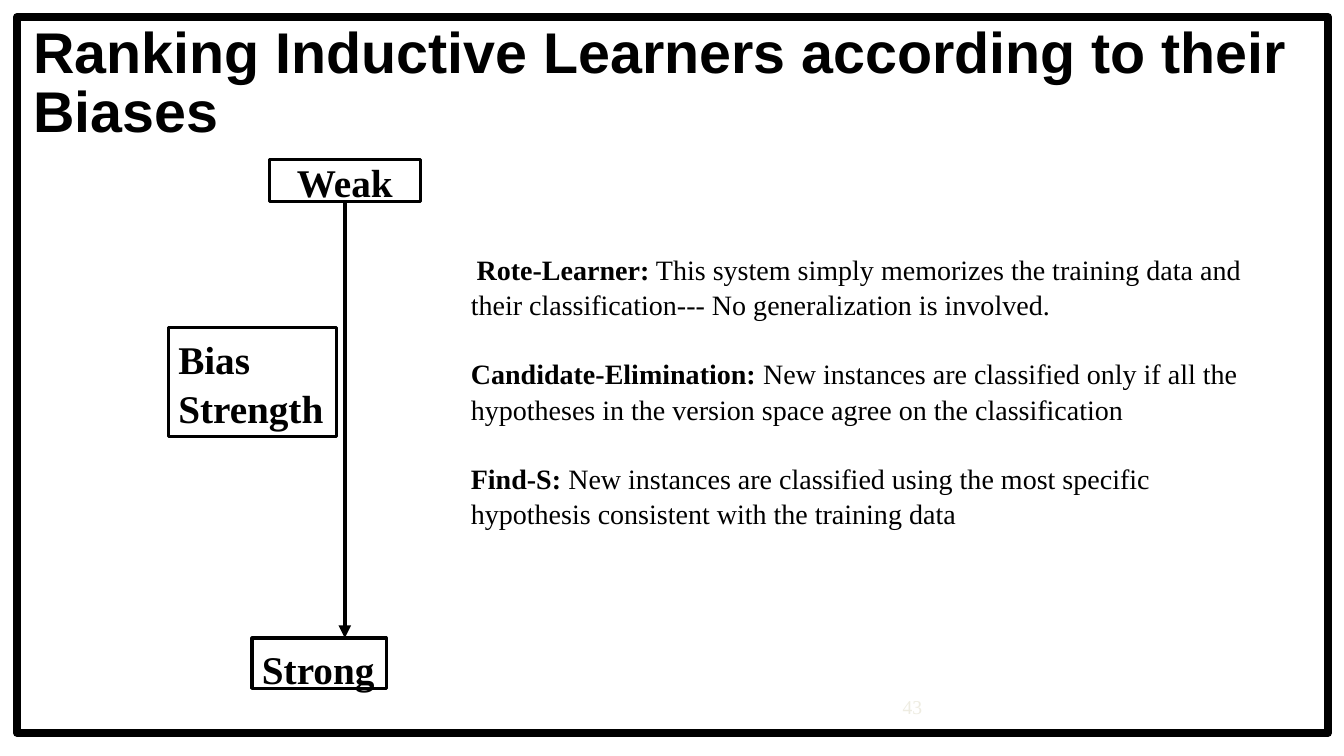
"""Build a slide that ranks inductive learners by the strength of their bias."""
from dataclasses import dataclass

from lxml.etree import SubElement
from pptx import Presentation
from pptx.dml.color import RGBColor as RGB
from pptx.enum.shapes import MSO_CONNECTOR as Connector, MSO_SHAPE as Shape
from pptx.enum.text import MSO_ANCHOR as Anchor, PP_ALIGN as Align
from pptx.oxml.ns import qn
from pptx.util import Inches, Pt


@dataclass(frozen=True)
class Theme:
    """Colours, fonts and type sizes of the slide."""
    ink: RGB = RGB(0x00, 0x00, 0x00)
    pale: RGB = RGB(0xEE, 0xEC, 0xE1)
    heading: str = "Arial"
    serif: str = "Times New Roman"
    sans: str = "Calibri"
    title: int = 41
    label: int = 28
    body: int = 20
    lead: int = 18
    number: int = 14
    spacing: float = 1.05


def apply(target, values):
    """Set each named attribute of the target."""
    for name, value in values.items():
        setattr(target, name, value)


def inset(frame, left=0, top=0, right=0, bottom=0):
    """Set the text margins of a frame in inches."""
    apply(frame, {"margin_left": Inches(left), "margin_top": Inches(top),
                  "margin_right": Inches(right), "margin_bottom": Inches(bottom)})


class SlideBuilder:
    """Draws themed elements on the current slide."""

    def __init__(self, deck, theme):
        self.theme = theme
        self.slide = deck.slides.add_slide(deck.slide_layouts[5])

    def add_words(self, paragraph, words, size, face, bold=False, color=None):
        """Add one formatted run to a paragraph."""
        run = paragraph.add_run()
        run.text = words
        apply(run.font, {"size": Pt(size), "name": face, "bold": bold})
        run.font.color.rgb = color or self.theme.ink

    def title(self, words, box):
        """Place and format the title."""
        heading = self.slide.shapes.title
        apply(heading, dict(zip(("left", "top", "width", "height"), map(Inches, box))))
        frame = heading.text_frame
        apply(frame, {"word_wrap": True, "vertical_anchor": Anchor.BOTTOM})
        inset(frame)
        paragraph = frame.paragraphs[0]
        apply(paragraph, {"alignment": Align.LEFT, "line_spacing": 0.85})
        self.add_words(paragraph, words, self.theme.title, self.theme.heading, True)

    def text_box(self, box):
        """Add a wrapping text box without margins and return its frame."""
        frame = self.slide.shapes.add_textbox(*map(Inches, box)).text_frame
        frame.word_wrap = True
        inset(frame)
        return frame

    def definitions(self, entries, box):
        """List terms in bold, each followed by its meaning."""
        theme = self.theme
        frame = self.text_box(box)
        for index, (term, meaning) in enumerate(entries):
            paragraph = frame.add_paragraph() if index else frame.paragraphs[0]
            apply(paragraph, {"line_spacing": theme.spacing,
                              "space_before": Pt(24 if index else 0)})
            paragraph._p.get_or_add_pPr().set("marL", str(Inches(0.5)))
            if not index:
                self.add_words(paragraph, " ", theme.lead, theme.sans)
            self.add_words(paragraph, term, theme.body, theme.serif, True)
            self.add_words(paragraph, meaning, theme.body, theme.serif)

    def outline(self, box, weight):
        """Add an unfilled rectangle."""
        border = self.slide.shapes.add_shape(Shape.RECTANGLE, *map(Inches, box))
        border.shadow.inherit = False
        border.fill.background()
        border.line.color.rgb = self.theme.ink
        border.line.width = Pt(weight)
        return border

    def label(self, lines, box, align=Align.LEFT, anchor=Anchor.TOP):
        """Add a bordered label with bold lines."""
        frame = self.outline(box, 2.25).text_frame
        apply(frame, {"word_wrap": True, "vertical_anchor": anchor})
        margin = 0 if align == Align.CENTER else 0.1
        inset(frame, left=margin, top=margin / 2)
        for index, words in enumerate(lines):
            paragraph = frame.add_paragraph() if index else frame.paragraphs[0]
            apply(paragraph, {"alignment": align, "line_spacing": self.theme.spacing})
            self.add_words(paragraph, words, self.theme.label, self.theme.serif, True)

    def arrow(self, start, end):
        """Draw a line with an arrowhead at its end."""
        axis = self.slide.shapes.add_connector(
            Connector.STRAIGHT, *map(Inches, (*start, *end)))
        axis.line.color.rgb = self.theme.ink
        axis.line.width = Pt(3)
        SubElement(axis.line._get_or_add_ln(), qn("a:tailEnd"), type="triangle")
        SubElement(axis._element.spPr, qn("a:effectLst"))

    def page_number(self, number, box):
        """Place the pale page number."""
        paragraph = self.text_box(box).paragraphs[0]
        paragraph.alignment = Align.CENTER
        self.add_words(paragraph, number, self.theme.number, self.theme.serif,
                       color=self.theme.pale)


def main():
    """Compose the slide and save it."""
    deck = Presentation()
    apply(deck, {"slide_width": Inches(13.33), "slide_height": Inches(7.5)})
    page = SlideBuilder(deck, Theme())
    page.title("Ranking Inductive Learners according to their Biases",
               (0.33, 0.25, 12.75, 1.18))
    page.definitions([
        ("Rote-Learner:", " This system simply memorizes the training data and "
         "their classification--- No generalization is involved."),
        ("Candidate-Elimination: ", "New instances are classified only if all the "
         "hypotheses in the version space agree on the classification"),
        ("Find-S: ", "New instances are classified using the most specific "
         "hypothesis consistent with the training data"),
    ], (4.17, 2.49, 8.5, 2.69))
    page.arrow((3.42, 2), (3.42, 6.33))
    page.label(["Weak"], (2.67, 1.58, 1.5, 0.42), Align.CENTER, Anchor.MIDDLE)
    page.label(["Bias", "Strength"], (1.67, 3.25, 1.67, 1.08))
    page.label(["Strong"], (2.5, 6.33, 1.33, 0.5))
    page.page_number("43", (8.55, 6.89, 1, 0.25))
    page.outline((0.17, 0.17, 13, 7.1), 6)
    deck.save("out.pptx")


if __name__ == "__main__":
    main()
